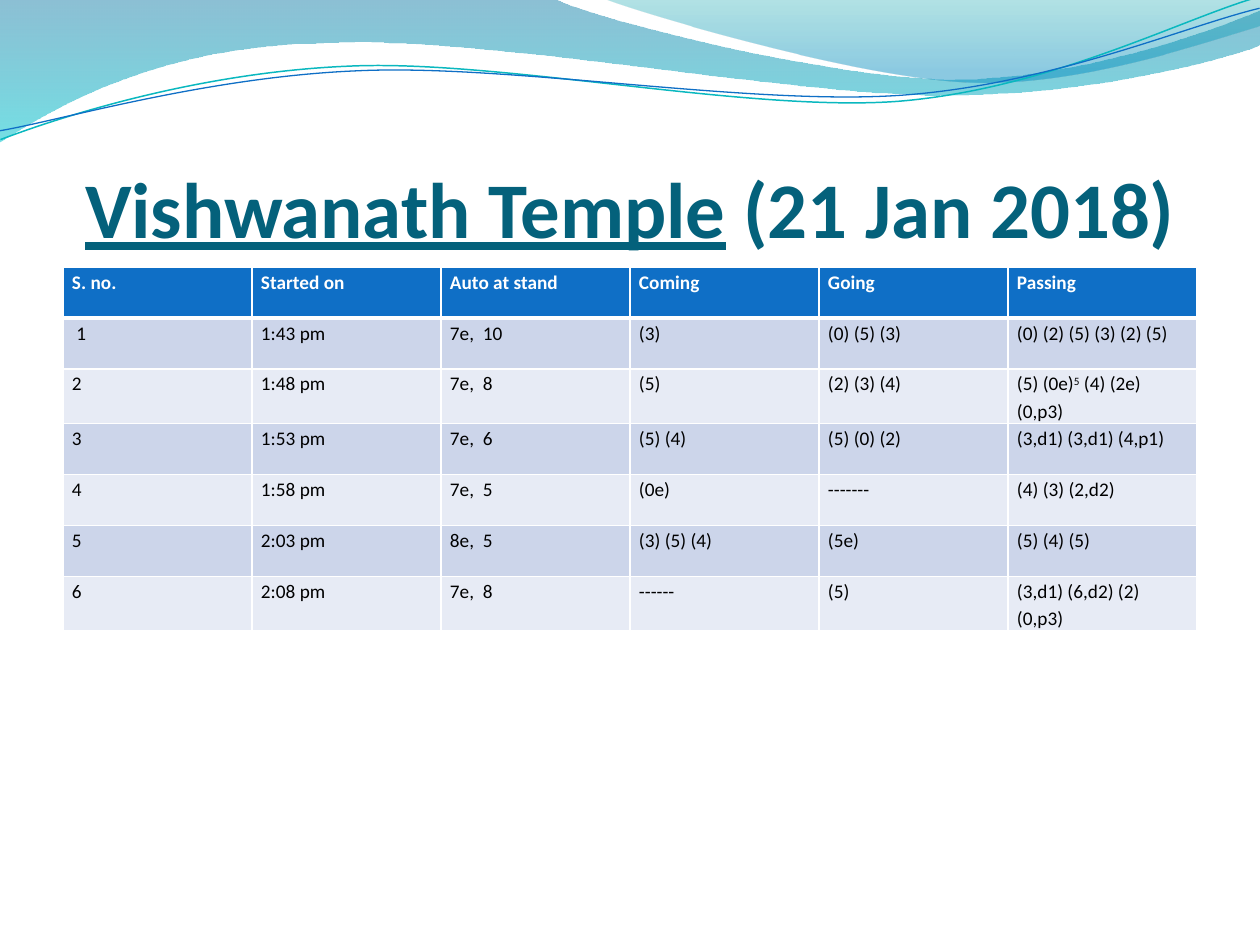
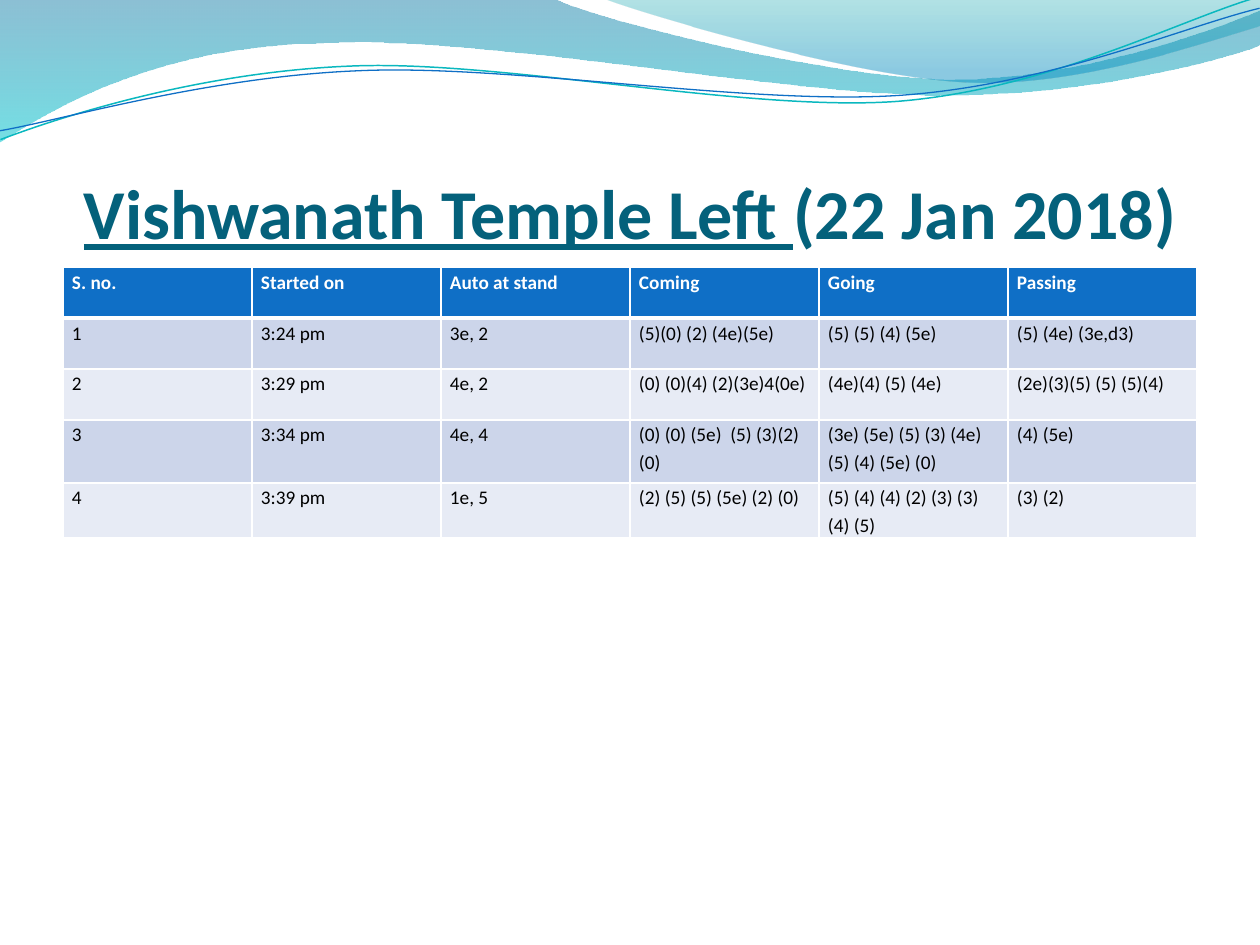
from lxml import etree
from pptx import Presentation
from pptx.dml.color import RGBColor
from pptx.enum.text import MSO_ANCHOR, MSO_AUTO_SIZE, PP_ALIGN
from pptx.oxml.ns import qn
from pptx.util import Pt

EMU_PER_PX = 914400 / 126
TITLE_ONLY = 5
CENTER = PP_ALIGN.CENTER
BOTTOM = MSO_ANCHOR.BOTTOM
NO_AUTOFIT = MSO_AUTO_SIZE.NONE

FONT = "Calibri"
COLORS = {
    "title": "04617B", "header": "0F6FC6", "band_dark": "CCD5EA",
    "band_light": "E7EBF5", "white": "FFFFFF", "black": "000000",
    "deep_blue": "0074A1", "cyan": "00C6CF", "sea_green": "00A1A9",
    "sky_blue": "008BBF", "teal_line": "0AB8BF", "blue_line": "0F6FC6",
}

LEFT, CONTENT_WIDTH = 63, 1134
TITLE_TOP, TITLE_HEIGHT = 97, 157
TABLE_TOP, ROW_HEIGHT, CELL_INSET = 267, 51, 9
WAVE_LINE_TILT = 357.3

# A pair is a straight step; six numbers are two control points and an end.
BAND_WAVE = [
    (0, 0), (554, -1), (600, 21, 837, 79, 955, 79),
    (1075, 79, 1207, 33, 1260, 11), (1261, 45),
    (1239, 55, 1096, 96, 940, 95), (784, 95, 481, 35, 324, 43),
    (163, 45, 58, 105, -1, 142), (0, 0),
]
CORNER_WAVE = [
    (604, -1), (641, 14, 859, 78, 969, 82),
    (1079, 87, 1211, 40, 1260, 26), (1260, 0), (604, -1),
]
# The two wave lines are given level; the tilt is applied to the shape.
TEAL_WAVE = [
    (-2, 110), (59, 90, 199, 52, 350, 53),
    (499, 53, 745, 118, 896, 114), (1048, 109, 1184, 45, 1260, 27),
]
BLUE_WAVE = [
    (-2, 101), (57, 94, 207, 57, 358, 58),
    (509, 58, 750, 112, 902, 108), (1052, 104, 1188, 52, 1262, 38),
]

# Text between carets is superscript.
HEADINGS = ["S. no.", "Started on", "Auto at stand", "Coming", "Going", "Passing"]
TEMPLE_COUNTS = [
    [" 1", "1:43 pm", "7e,  10", "(3)", "(0) (5) (3)", "(0) (2) (5) (3) (2) (5)"],
    ["2", "1:48 pm", "7e,  8", "(5)", "(2) (3) (4)", "(5) (0e)^5^ (4) (2e) (0,p3)"],
    ["3", "1:53 pm", "7e,  6", "(5) (4)", "(5) (0) (2)", "(3,d1) (3,d1) (4,p1)"],
    ["4", "1:58 pm", "7e,  5", "(0e)", "-------", "(4) (3) (2,d2)"],
    ["5", "2:03 pm", "8e,  5", "(3) (5) (4)", "(5e)", "(5) (4) (5)"],
    ["6", "2:08 pm", "7e,  8", "------", "(5)", "(3,d1) (6,d2) (2) (0,p3)"],
]
TEMPLE_LEFT_COUNTS = [
    ["1", "3:24 pm", "3e, 2", "(5)(0) (2) (4e)(5e)", "(5) (5) (4) (5e)",
     "(5) (4e) (3e,d3)"],
    ["2", "3:29 pm", "4e, 2", "(0) (0)(4) (2)(3e)4(0e)", "(4e)(4) (5) (4e)",
     "(2e)(3)(5) (5) (5)(4)"],
    ["3", "3:34 pm", "4e, 4", "(0) (0) (5e)  (5) (3)(2) (0)",
     "(3e) (5e) (5) (3) (4e) (5) (4) (5e) (0)", "(4) (5e)"],
    ["4", "3:39 pm", "1e, 5", "(2) (5) (5) (5e) (2) (0)",
     "(5) (4) (4) (2) (3) (3) (4) (5)", "(3) (2)"],
]


def px(length):
    return round(length * EMU_PER_PX)


def rgb(name):
    return RGBColor.from_string(COLORS[name])


def add_text(paragraph, text, size, color, bold=False, underline=False):
    """Append text, raising the parts that stand between carets."""
    for index, part in enumerate(text.split("^")):
        run = paragraph.add_run()
        run.text = part
        font = run.font
        font.name, font.size, font.bold = FONT, Pt(size), bold
        font.underline = underline
        font.color.rgb = rgb(color)
        if index % 2:
            font._element.set("baseline", "30000")


def bend(outline, steps):
    """Merge the three segments of each curved step into one cubic curve."""
    segments = iter(list(outline.element.iter(qn("a:lnTo"))))
    for step in steps[1:]:
        segment = next(segments)
        if len(step) == 6:
            segment.tag = qn("a:cubicBezTo")
            for _ in range(2):
                following = next(segments)
                segment.append(following[0])
                following.getparent().remove(following)


def add_outline(slide, steps, close):
    points = [(px(x), px(y)) for step in steps
              for x, y in zip(step[::2], step[1::2])]
    builder = slide.shapes.build_freeform(*points[0])
    builder.add_line_segments(points[1:], close=close)
    outline = builder.convert_to_shape()
    outline.shadow.inherit = False
    bend(outline, steps)
    return outline


def add_wave_fill(slide, steps, stops):
    """Fill a wave from top to bottom; stops hold position, colour and opacity."""
    wave = add_outline(slide, steps, close=True)
    wave.line.fill.background()
    wave.fill.gradient()
    wave.fill.gradient_angle = 270
    for stop, (position, color, _) in zip(wave.fill.gradient_stops, stops):
        stop.position = position
        stop.color.rgb = rgb(color)
    for tint, (_, _, opacity) in zip(wave.element.iter(qn("a:srgbClr")), stops):
        etree.SubElement(tint, qn("a:alpha"), val=str(opacity * 1000))
    return wave


def add_wave_line(slide, steps, color, width):
    wave = add_outline(slide, steps, close=False)
    wave.rotation = WAVE_LINE_TILT
    wave.fill.background()
    wave.line.color.rgb = rgb(color)
    wave.line.width = Pt(width)
    return wave


def add_waves_to_layout(slide):
    """Draw the waves and hand them to the layout, which all slides share."""
    waves = [
        add_wave_fill(slide, BAND_WAVE, [(0, "deep_blue", 45), (1, "cyan", 55)]),
        add_wave_fill(slide, CORNER_WAVE,
                      [(0, "sea_green", 30), (0.8, "sky_blue", 45)]),
        add_wave_line(slide, TEAL_WAVE, "teal_line", 0.85),
        add_wave_line(slide, BLUE_WAVE, "blue_line", 0.75),
    ]
    for wave in waves:
        slide.slide_layout.shapes.element.append(wave.element)


def set_title(slide, place, date, size):
    title = slide.shapes.title
    title.left, title.top = px(LEFT), px(TITLE_TOP)
    title.width, title.height = px(CONTENT_WIDTH), px(TITLE_HEIGHT)
    frame = title.text_frame
    frame.word_wrap, frame.auto_size = True, NO_AUTOFIT
    frame.vertical_anchor = BOTTOM
    frame.margin_left = frame.margin_right = frame.margin_bottom = 0
    frame.margin_top = px(6)
    heading = frame.paragraphs[0]
    heading.alignment = CENTER
    add_text(heading, place, size=size, color="title", bold=True, underline=True)
    add_text(heading, date, size=size, color="title", bold=True)


def set_borders(cell, top, bottom):
    properties = cell._tc.get_or_add_tcPr()
    sides = [("a:lnL", 1), ("a:lnR", 1), ("a:lnT", top), ("a:lnB", bottom)]
    for position, (side, width) in enumerate(sides):
        border = etree.Element(qn(side), w=str(Pt(width)))
        fill = etree.SubElement(border, qn("a:solidFill"))
        etree.SubElement(fill, qn("a:srgbClr"), val=COLORS["white"])
        properties.insert(position, border)


def format_cell(cell, text, row):
    is_header = row == 0
    band = "header" if is_header else "band_dark" if row % 2 else "band_light"
    cell.fill.solid()
    cell.fill.fore_color.rgb = rgb(band)
    set_borders(cell, top=3 if row == 1 else 1, bottom=3 if is_header else 1)
    cell.margin_left = cell.margin_right = px(CELL_INSET)
    cell.margin_top = cell.margin_bottom = 0
    paragraph = cell.text_frame.paragraphs[0]
    paragraph.line_spacing = 1.15
    add_text(paragraph, text, size=11, color="white" if is_header else "black",
             bold=is_header)


def add_count_table(slide, counts, tall_rows):
    """Add the counts under the headings; tall_rows maps a row to its height."""
    rows = [HEADINGS] + counts
    heights = [tall_rows.get(row, ROW_HEIGHT) for row in range(len(rows))]
    table = slide.shapes.add_table(
        len(rows), len(HEADINGS), px(LEFT), px(TABLE_TOP),
        px(CONTENT_WIDTH), px(sum(heights))).table
    for row, texts in enumerate(rows):
        table.rows[row].height = px(heights[row])
        for column, text in enumerate(texts):
            format_cell(table.cell(row, column), text, row)


def add_count_slide(deck, place, date, title_size, counts, tall_rows):
    slide = deck.slides.add_slide(deck.slide_layouts[TITLE_ONLY])
    set_title(slide, place, date, title_size)
    add_count_table(slide, counts, tall_rows)
    return slide


def main():
    deck = Presentation()
    deck.slide_width, deck.slide_height = px(1260), px(945)
    temple = add_count_slide(deck, "Vishwanath Temple", " (21 Jan 2018)", 45,
                             TEMPLE_COUNTS, {})
    add_waves_to_layout(temple)
    add_count_slide(deck, "Vishwanath Temple Left ", "(22 Jan 2018)", 40,
                    TEMPLE_LEFT_COUNTS, {3: 63})
    deck.save("out.pptx")


if __name__ == "__main__":
    main()
